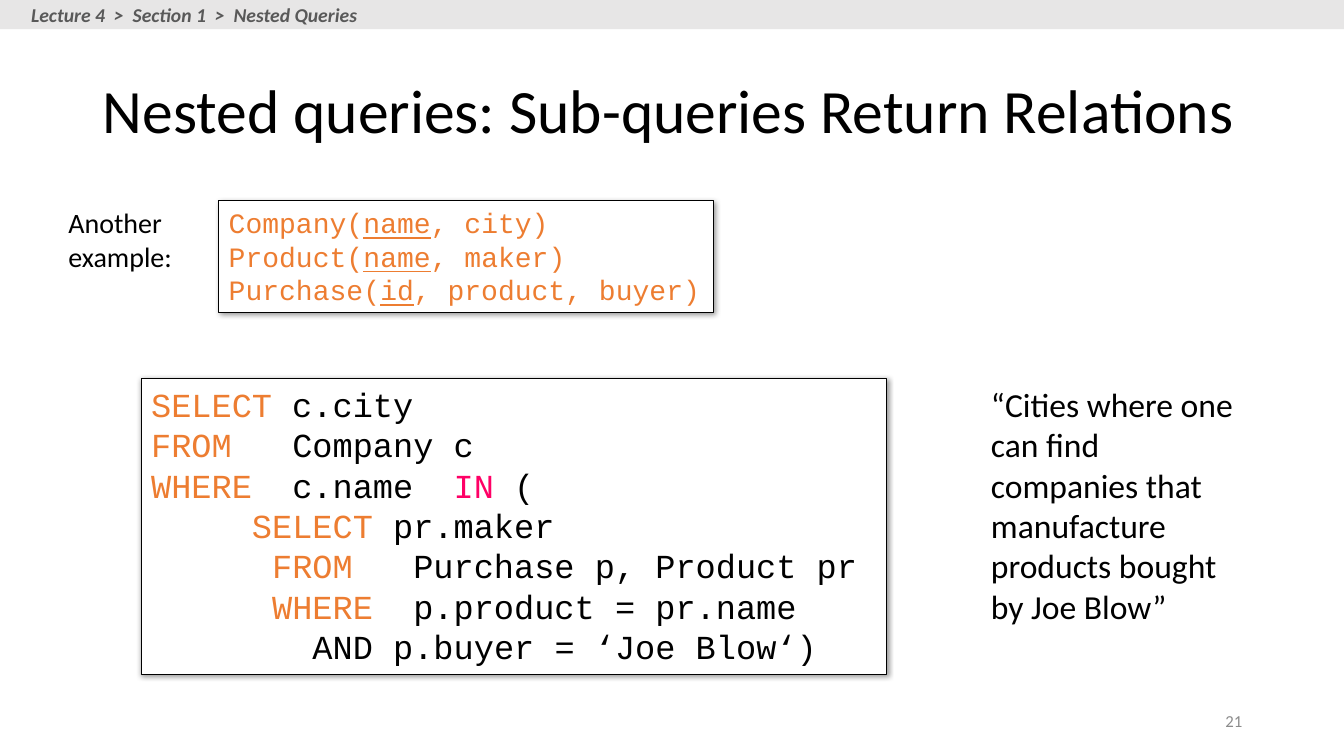
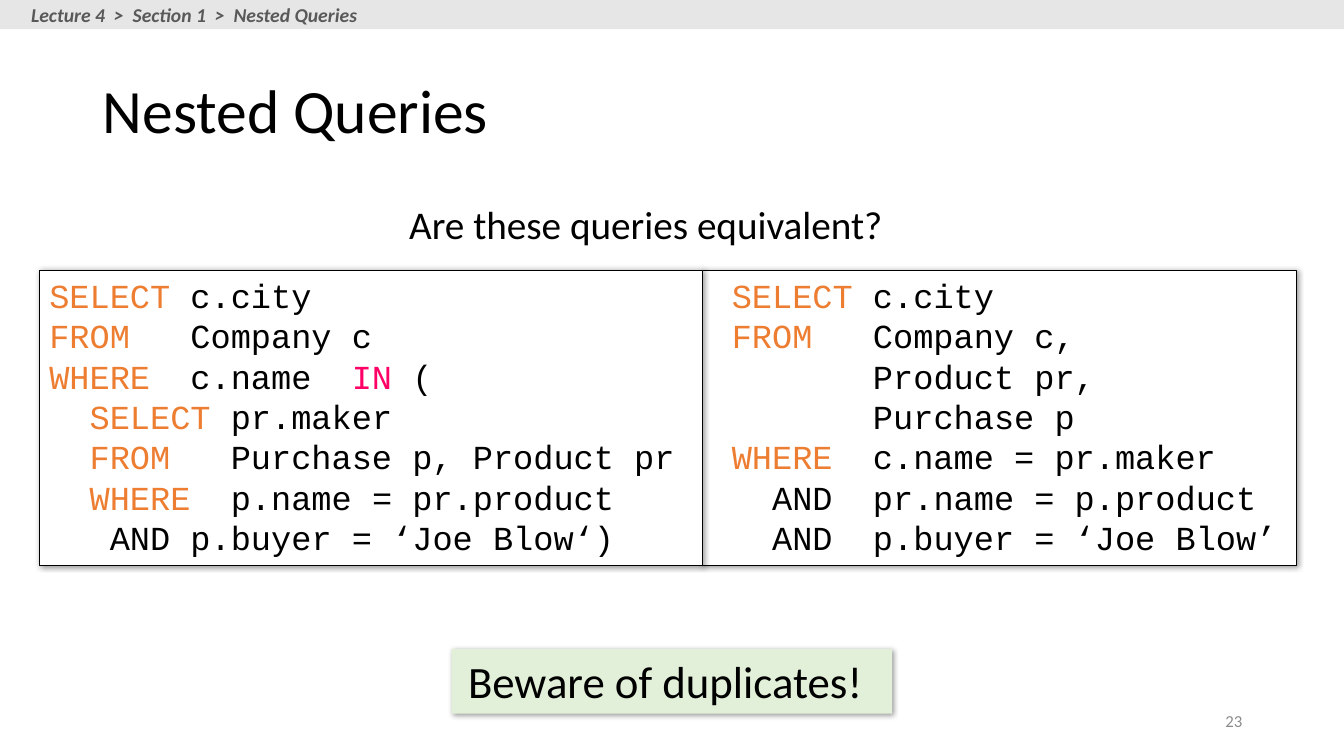
from lxml import etree
from pptx import Presentation
from pptx.dml.color import RGBColor
from pptx.enum import shapes, text
from pptx.oxml import ns
from pptx.util import Inches, Pt

BLACK, WHITE, ORANGE, PINK = "000000", "FFFFFF", "ED7D31", "FF0066"
BAND, CRUMB, NUMBER, GREEN = "E7E6E6", "595959", "8C8C8C", "E2F0D9"
BODY, CODE = "Calibri", "Courier New"
KEYWORDS = {"SELECT": ORANGE, "FROM": ORANGE, "WHERE": ORANGE, "IN": PINK}
LEFT, CENTER, RIGHT = text.PP_ALIGN.LEFT, text.PP_ALIGN.CENTER, text.PP_ALIGN.RIGHT

SCHEMA = [
    ("Company(", "name", ", city)"),
    ("Product(", "name", ", maker)"),
    ("Purchase(", "id", ", product, buyer)"),
]
OUTER_QUERY = ["SELECT| c.city", "FROM|   Company c", "WHERE|  c.name  |IN| ("]
MAKERS_QUERY = OUTER_QUERY + [
    "     SELECT| pr.maker",
    "      FROM|   Purchase p, Product pr",
    "      WHERE|  p.product = pr.name",
    "        AND p.buyer = ‘Joe Blow‘)",
]
NESTED_QUERY = OUTER_QUERY + [
    "  SELECT| pr.maker",
    "  FROM|   Purchase p, Product pr",
    "  WHERE|  p.name = pr.product",
    "   AND p.buyer = ‘Joe Blow‘)",
]
JOIN_QUERY = [
    " SELECT| c.city",
    " FROM|   Company c,",
    "        Product pr,",
    "        Purchase p",
    " WHERE|  c.name = pr.maker",
    "   AND  pr.name = p.product",
    "   AND  p.buyer = ‘Joe Blow’",
]


def color(value):
    return RGBColor.from_string(value)


def add_span(para, words, size, fill=BLACK, face=BODY, **style):
    span = para.add_run()
    span.text = words
    span.font.name = face
    span.font.size = Pt(size)
    span.font.color.rgb = color(fill)
    for key, value in style.items():
        setattr(span.font, key, value)


def add_label(page, place, words, size, fill=BLACK, align=LEFT, middle=False, **style):
    box = page.shapes.add_textbox(*map(Inches, place))
    frame = box.text_frame
    frame.word_wrap = True
    if middle:
        frame.vertical_anchor = text.MSO_ANCHOR.MIDDLE
    para = frame.paragraphs[0]
    para.alignment = align
    add_span(para, words, size, fill, **style)
    return para


def add_panel(page, place, fill=WHITE, outline=None):
    panel = page.shapes.add_shape(shapes.MSO_SHAPE.RECTANGLE, *map(Inches, place))
    panel.shadow.inherit = False
    panel.fill.solid()
    panel.fill.fore_color.rgb = color(fill)
    if outline:
        panel.line.color.rgb = color(outline)
        panel.line.width = Pt(0.75)
    else:
        panel.line.fill.background()
    panel.text_frame.vertical_anchor = text.MSO_ANCHOR.TOP
    return panel


def add_shadow(panel):
    effects = panel._element.spPr.find(ns.qn("a:effectLst"))
    shadow = etree.SubElement(
        effects, ns.qn("a:outerShdw"), blurRad=str(Pt(4)), dist=str(Pt(1)),
        dir="2700000", algn="tl", rotWithShape="0")
    tint = etree.SubElement(shadow, ns.qn("a:srgbClr"), val=BLACK)
    etree.SubElement(tint, ns.qn("a:alpha"), val="40000")


def add_lines(page, place, lines, write_line):
    panel = add_panel(page, place, outline=BLACK)
    add_shadow(panel)
    frame = panel.text_frame
    for index, line in enumerate(lines):
        para = frame.add_paragraph() if index else frame.paragraphs[0]
        para.alignment = LEFT
        write_line(para, line)


def write_code(para, line):
    for part in line.split("|"):
        add_span(para, part, 24, KEYWORDS.get(part.strip(), BLACK), CODE)


def write_relation(para, relation):
    for part, is_key in zip(relation, (False, True, False)):
        add_span(para, part, 20, ORANGE, CODE, underline=is_key)


def add_callout(page, place, words):
    panel = add_panel(page, place, GREEN)
    add_shadow(panel)
    panel.text_frame.margin_right = Inches(0.23)
    para = panel.text_frame.paragraphs[0]
    para.alignment = CENTER
    add_span(para, words, 32)


def add_page(deck, title, number):
    page = deck.slides.add_slide(deck.slide_layouts[6])
    add_panel(page, (0, 0, 13.33, 0.29), BAND)
    add_label(page, (0.21, -0.02, 3.6, 0.34), "Lecture 4  >  Section 1  >  Nested Queries",
              14, CRUMB, bold=True, italic=True)
    heading = add_label(page, (0.92, 0.4, 11.5, 1.45), title, 44, middle=True)
    heading.line_spacing = 0.9
    add_label(page, (9.42, 6.95, 3, 0.4), str(number), 12, NUMBER, RIGHT, True)
    return page


def add_relations_page(deck):
    page = add_page(deck, "Nested queries: Sub-queries Return Relations", 21)
    add_label(page, (0.58, 1.99, 1.26, 0.77), "Another example:", 20)
    add_lines(page, (2.17, 1.99, 4.91, 1.11), SCHEMA, write_relation)
    add_lines(page, (1.4, 3.76, 7.39, 2.93), MAKERS_QUERY, write_code)
    add_label(page, (9.73, 3.76, 2.68, 2.6),
              "“Cities where one can find companies that manufacture products "
              "bought by Joe Blow”", 24)


def add_equivalence_page(deck):
    page = add_page(deck, "Nested Queries", 23)
    add_label(page, (3.96, 1.94, 5, 0.57), "Are these queries equivalent?", 28)
    add_lines(page, (6.96, 2.68, 5.9, 2.93), JOIN_QUERY, write_code)
    add_lines(page, (0.39, 2.68, 6.58, 2.93), NESTED_QUERY, write_code)
    add_callout(page, (4.48, 6.44, 4.37, 0.64), "Beware of duplicates!")


def main():
    deck = Presentation()
    deck.slide_width = Inches(13.33)
    deck.slide_height = Inches(7.5)
    add_relations_page(deck)
    add_equivalence_page(deck)
    deck.save("out.pptx")


if __name__ == "__main__":
    main()
